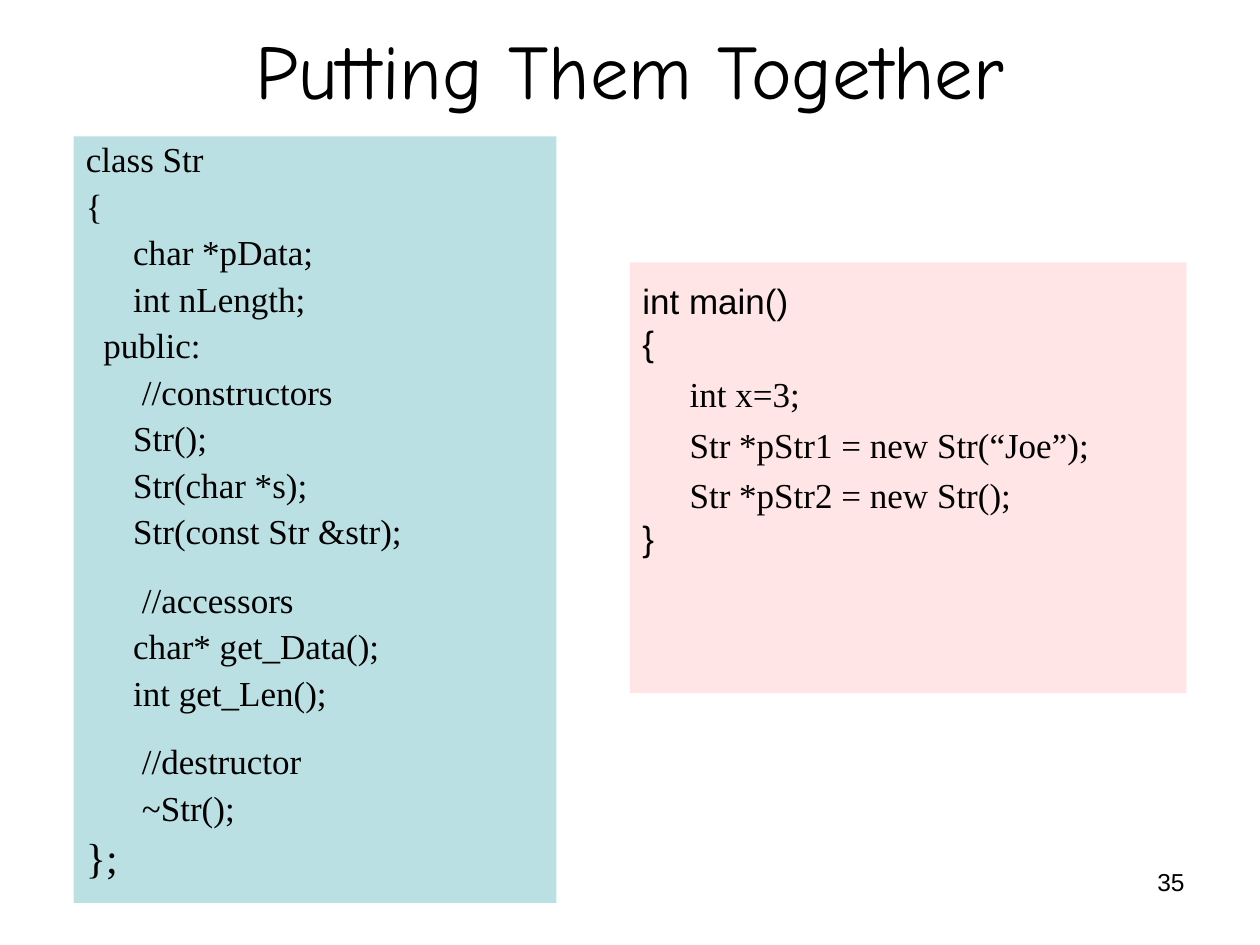
"""Build a slide that pairs a class listing with a main function."""
from pptx import Presentation
from pptx.dml.color import RGBColor
from pptx.enum.shapes import MSO_SHAPE as Shape
from pptx.enum.text import MSO_ANCHOR as Anchor, PP_ALIGN as Align
from pptx.util import Pt

SERIF, SANS, HAND = "Times New Roman", "Arial", "Comic Neue"
BLACK, TEAL, PINK = "000000", "BBE0E3", "FFE5E5"
LABEL, BODY, COMMENT = 10, 27, 32
GAP, SECTION_GAP = 4.95, 17.6

CLASS_LINES = [
    ("class Str", {}),
    ("{", {}),
    ("char *pData;", {"indent": BODY}),
    ("int nLength;", {"indent": BODY}),
    ("public:", {"indent": LABEL}),
    ("//constructors", {"indent": COMMENT}),
    ("Str();", {"indent": BODY}),
    ("Str(char *s);", {"indent": BODY}),
    ("Str(const Str &str);", {"indent": BODY}),
    ("//accessors", {"indent": COMMENT, "before": SECTION_GAP}),
    ("char* get_Data();", {"indent": BODY}),
    ("int get_Len();", {"indent": BODY}),
    ("//destructor", {"indent": COMMENT, "before": SECTION_GAP}),
    ("~Str();", {"indent": COMMENT}),
    ("};", {"size": 24}),
]
BRACE = {"font": SANS, "spacing": 0.8}
STATEMENT = {"indent": BODY, "spacing": 1.0}
MAIN_LINES = [
    ("int main()", BRACE),
    ("{", BRACE),
    ("int x=3;", STATEMENT),
    ("Str *pStr1 = new Str(“Joe”);", STATEMENT),
    ("Str *pStr2 = new Str();", STATEMENT),
    ("}", BRACE),
]


def color(value):
    """Return the colour of a hex string."""
    return RGBColor.from_string(value)


def apply(target, values):
    """Set each attribute of the target from a dict."""
    for name, value in values.items():
        setattr(target, name, value)


def write(paragraph, text, font, size):
    """Put one run of black text in a paragraph."""
    run = paragraph.add_run()
    run.text = text
    apply(run.font, {"name": font, "size": Pt(size)})
    run.font.color.rgb = color(BLACK)


def add_label(slide, box, text, font, size, align, anchor):
    """Add a text box with a single line."""
    frame = slide.shapes.add_textbox(*map(Pt, box)).text_frame
    apply(frame, {"word_wrap": True, "vertical_anchor": anchor})
    paragraph = frame.paragraphs[0]
    paragraph.alignment = align
    write(paragraph, text, font, size)


def add_code_line(paragraph, text, font=SERIF, size=20, indent=0,
                  before=GAP, spacing=0.9):
    """Write one line of code with its indent and spacing."""
    apply(paragraph, {"alignment": Align.LEFT, "space_before": Pt(before),
                      "line_spacing": spacing})
    paragraph._p.get_or_add_pPr().set("marL", str(Pt(indent)))
    write(paragraph, text, font, size)


def add_code_panel(slide, box, fill, lines, top_margin=3.6):
    """Add a filled rectangle that holds lines of code."""
    shape = slide.shapes.add_shape(Shape.RECTANGLE, *map(Pt, box))
    shape.shadow.inherit = False
    shape.fill.solid()
    shape.fill.fore_color.rgb = color(fill)
    shape.line.fill.background()
    frame = shape.text_frame
    apply(frame, {"word_wrap": True, "vertical_anchor": Anchor.TOP,
                  "margin_top": Pt(top_margin)})
    for number, (text, style) in enumerate(lines):
        paragraph = frame.add_paragraph() if number else frame.paragraphs[0]
        add_code_line(paragraph, text, **style)


def main():
    """Build and save the slide."""
    presentation = Presentation()
    apply(presentation, {"slide_width": Pt(720), "slide_height": Pt(540)})
    slide = presentation.slides.add_slide(presentation.slide_layouts[6])
    add_label(slide, (516, 492, 168, 37.5), "35", SANS, 14,
              Align.RIGHT, Anchor.TOP)
    add_label(slide, (0, 12, 720, 54), "Putting Them Together", HAND, 44,
              Align.CENTER, Anchor.MIDDLE)
    add_code_panel(slide, (42, 78, 276, 438), TEAL, CLASS_LINES)
    add_code_panel(slide, (360, 150, 318, 246), PINK, MAIN_LINES, 14.4)
    presentation.save("out.pptx")


if __name__ == "__main__":
    main()
